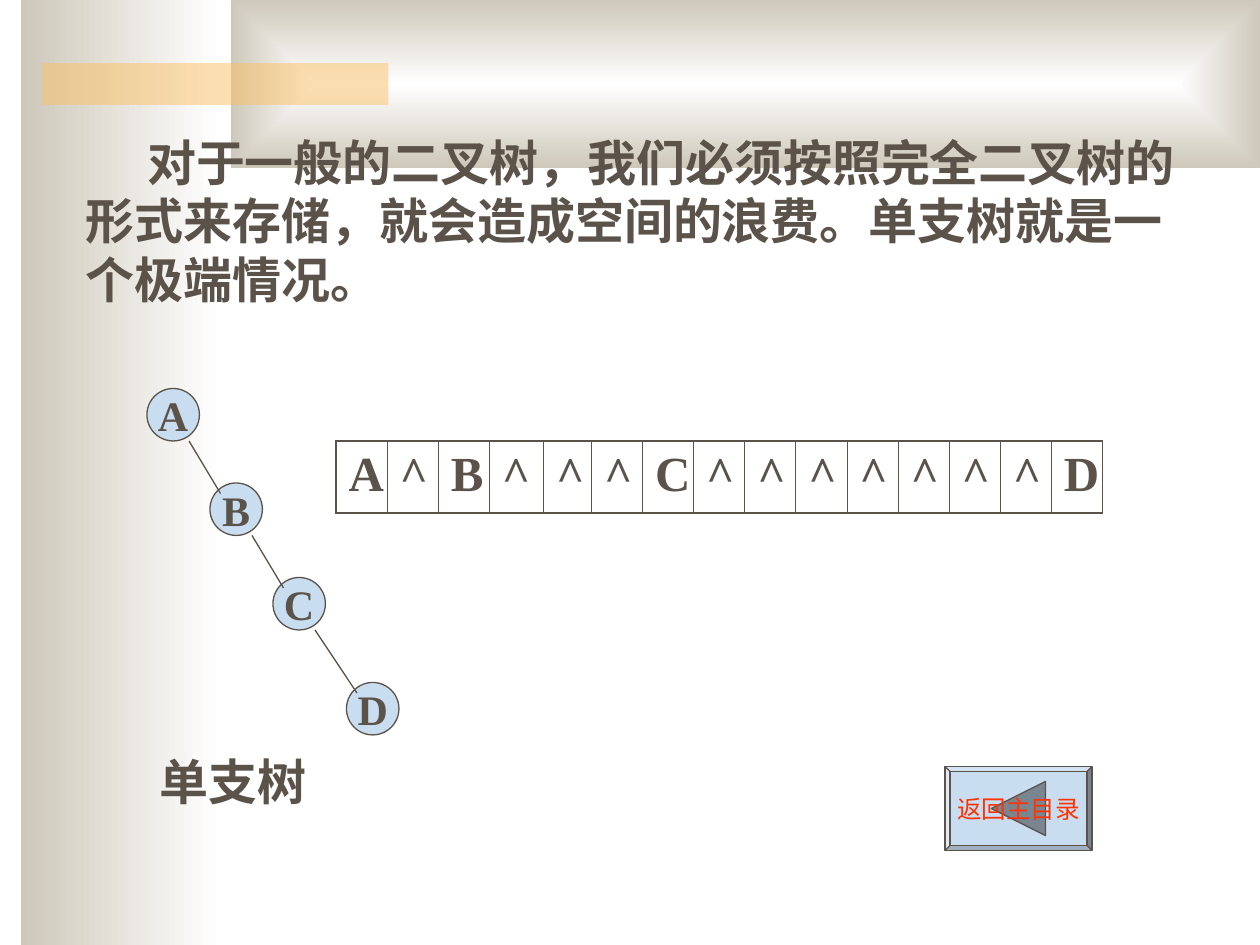
from lxml import etree
from pptx import Presentation
from pptx import util as u
from pptx.dml.color import RGBColor
from pptx.enum import shapes, text
from pptx.oxml import ns

INK, SKY, SAND, WHITE = "5B5249", "C9DDF1", "CEC8BA", "FFFFFF"
SHADE, AMBER, RED = "79858F", "FAC164", "FF3300"
SHAPE = shapes.MSO_SHAPE


def color(value):
    return RGBColor.from_string(value)


def add_xml(parent, tag, **attributes):
    return etree.SubElement(parent, ns.qn(tag), attributes)


class SlideBuilder:
    font = {"name": "Times New Roman", "size": 28, "bold": True, "color": INK}

    def __init__(self, slide):
        self.slide = slide

    def add_words(self, frame, words, indent=0, align=None, **changes):
        paragraph = frame.paragraphs[0]
        if indent:
            paragraph._p.get_or_add_pPr().set("indent", str(u.Pt(indent)))
        paragraph.alignment = align
        run = paragraph.add_run()
        run.text = words
        style = {**self.font, **changes}
        run.font.color.rgb = color(style.pop("color"))
        style["size"] = u.Pt(style["size"])
        for name, value in style.items():
            setattr(run.font, name, value)

    def add_centered_words(self, shape, words, **changes):
        frame = shape.text_frame
        frame.word_wrap = False
        frame.vertical_anchor = text.MSO_ANCHOR.MIDDLE
        self.add_words(frame, words, align=text.PP_ALIGN.CENTER, **changes)

    def paint(self, shape, fill=None, line=None):
        shape.shadow.inherit = False
        if fill:
            shape.fill.solid()
            shape.fill.fore_color.rgb = color(fill)
        if line:
            shape.line.color.rgb = color(line)
            shape.line.width = u.Pt(0.75)
        else:
            shape.line.fill.background()
        return shape

    def shape(self, kind, box, fill=None, line=None):
        shape = self.slide.shapes.add_shape(kind, *map(u.Pt, box))
        return self.paint(shape, fill, line)

    def translucent(self, box, fill, percent):
        shape = self.shape(SHAPE.RECTANGLE, box, fill)
        solid = shape._element.spPr.find(ns.qn("a:solidFill"))
        add_xml(solid[0], "a:alpha", val=str(percent * 1000))

    def gradient(self, box, inner, outer, from_center=False):
        shape = self.shape(SHAPE.RECTANGLE, box)
        shape.fill.gradient()
        shape.fill.gradient_angle = 180
        for stop, value in zip(shape.fill.gradient_stops, (inner, outer)):
            stop.color.rgb = color(value)
        if from_center:
            gradient = shape._element.spPr.find(ns.qn("a:gradFill"))
            gradient.remove(gradient.find(ns.qn("a:lin")))
            rectangle = add_xml(gradient, "a:path", path="rect")
            add_xml(rectangle, "a:fillToRect", **dict.fromkeys("ltrb", "50000"))

    def polygon(self, points, fill, line):
        points = [(u.Pt(x), u.Pt(y)) for x, y in points]
        builder = self.slide.shapes.build_freeform(*points[0])
        builder.add_line_segments(points[1:], close=True)
        return self.paint(builder.convert_to_shape(), fill, line)

    def line(self, start, end):
        connector = self.slide.shapes.add_connector(
            shapes.MSO_CONNECTOR.STRAIGHT, *map(u.Pt, start + end))
        connector.line.color.rgb = color(INK)
        connector.line.width = u.Pt(0.75)
        add_xml(connector._element.spPr, "a:effectLst")

    def text(self, box, words, **options):
        frame = self.slide.shapes.add_textbox(*map(u.Pt, box)).text_frame
        frame.word_wrap = True
        self.add_words(frame, words, **options)

    def border(self, cell, side, width):
        edge = add_xml(cell._tc.get_or_add_tcPr(), f"a:ln{side}", w=str(u.Pt(width)))
        add_xml(add_xml(edge, "a:solidFill"), "a:srgbClr", val=INK)

    def array(self, box, values, widths):
        frame = self.slide.shapes.add_table(1, len(values), *map(u.Pt, box))
        table = frame.table
        table.first_row = table.horz_banding = False
        last = len(values) - 1
        for index, (value, width) in enumerate(zip(values, widths)):
            table.columns[index].width = u.Pt(width)
            cell = table.cell(0, index)
            self.add_words(cell.text_frame, value)
            self.border(cell, "L", 1.08 if index == 0 else 0.45)
            self.border(cell, "R", 1.08 if index == last else 0.45)
            self.border(cell, "T", 1.08)
            self.border(cell, "B", 1.08)
            cell.fill.background()


def main():
    presentation = Presentation()
    presentation.slide_width, presentation.slide_height = u.Pt(720), u.Pt(540)
    slide = presentation.slides.add_slide(presentation.slide_layouts[6])
    builder = SlideBuilder(slide)

    # Background bands
    builder.gradient((12, 0, 114, 540), WHITE, SAND)
    builder.gradient((132, 0, 588, 96), WHITE, SAND, from_center=True)
    builder.translucent((24, 36, 198, 24), AMBER, 50)

    # Introduction
    builder.text((42, 72, 648, 108),
                 "对于一般的二叉树，我们必须按照完全二叉树的形式来存储，"
                 "就会造成空间的浪费。单支树就是一个极端情况。", indent=35)

    # Single-branch tree
    nodes = {"A": (84, 222), "B": (120, 276), "C": (156, 330), "D": (198, 390)}
    for letter, corner in nodes.items():
        node = builder.shape(SHAPE.OVAL, corner + (30, 30), SKY, INK)
        builder.add_centered_words(node, letter, size=24)
    corners = list(nodes.values())
    for (x1, y1), (x2, y2) in zip(corners, corners[1:]):
        builder.line((x1 + 24, y1 + 30), (x2 + 6, y2 + 6))
    builder.text((84, 426, 114, 41), "单支树")

    # Storage array
    values = "A^B^^^C^^^^^^^D"
    uneven = {3: 31, 4: 27.4}
    widths = [uneven.get(index, 29.2) for index in range(len(values))]
    builder.array((192, 252, 438, 41), values, widths)

    # Return button
    button = builder.shape(SHAPE.BEVEL, (540, 438, 84, 48), SKY, INK)
    button.adjustments[0] = 0.06
    arrow = builder.polygon([(566.5, 462), (597.5, 446.5), (597.5, 477.5)], SHADE, INK)
    builder.add_centered_words(arrow, "返回主目录", size=14, bold=False, color=RED)

    presentation.save("out.pptx")


if __name__ == "__main__":
    main()
